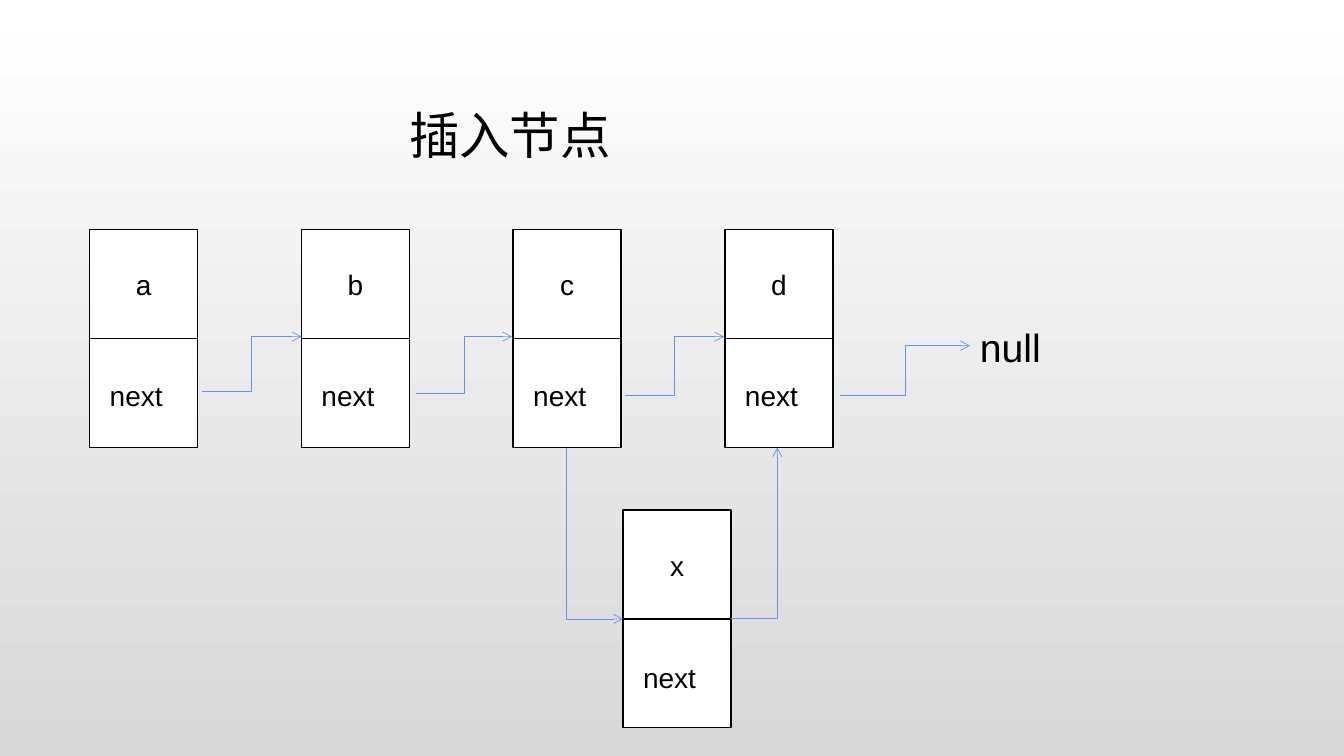
"""Draws a linked list slide that shows how a node is inserted."""
from lxml import etree
from pptx import Presentation
from pptx.dml.color import RGBColor
from pptx.enum.shapes import MSO_CONNECTOR
from pptx.enum.text import MSO_AUTO_SIZE, PP_ALIGN
from pptx.oxml.ns import qn
from pptx.util import Inches, Pt

ELBOW = MSO_CONNECTOR.ELBOW
GROW = MSO_AUTO_SIZE.SHAPE_TO_FIT_TEXT
LEFT, CENTER = PP_ALIGN.LEFT, PP_ALIGN.CENTER
HUES = {"ink": "000000", "paper": "FFFFFF", "arrow": "6096E6", "shade": "D8D8D8"}
WIDE, CELL = 1.07, 1.08
FIRST, STEP, TOP = 0.89, 2.1, 2.28


def hue(name):
    return RGBColor.from_string(HUES[name])


def shade(slide):
    fill = slide.background.fill
    fill.gradient()
    fill.gradient_angle = 270
    for stop, name in zip(fill.gradient_stops, ("paper", "shade")):
        stop.color.rgb = hue(name)


def label(slide, text, x, y, w, h, size=20, align=LEFT):
    box = slide.shapes.add_textbox(Inches(x), Inches(y), Inches(w), Inches(h))
    frame = box.text_frame
    frame.word_wrap = True
    frame.auto_size = GROW
    frame.text = text
    para = frame.paragraphs[0]
    para.alignment = align
    font = para.runs[0].font
    font.name, font.size = "Arial", Pt(size)
    font.color.rgb = hue("ink")


def node(slide, name, x, y, drop=0.32):
    path = slide.shapes.build_freeform(Inches(x), Inches(y), scale=1.0)
    for row in range(2):
        top, low = y + row * CELL, y + (row + 1) * CELL
        if row:
            path.move_to(Inches(x), Inches(top))
        corners = [(x + WIDE, top), (x + WIDE, low), (x, low)]
        path.add_line_segments([(Inches(a), Inches(b)) for a, b in corners], close=True)
    shape = path.convert_to_shape()
    shape.shadow.inherit = False
    shape.fill.solid()
    shape.fill.fore_color.rgb = hue("paper")
    shape.line.color.rgb = hue("ink")
    shape.line.width = Pt(1)
    label(slide, name, x + 0.2, y + drop, 0.67, 0.44, align=CENTER)
    label(slide, "next", x + 0.1, y + drop + 1.11, 0.87, 0.44)


def arrow(slide, x1, y1, x2, y2, kind="bentConnector3", turn=0):
    ends = [Inches(v) for v in (x1, y1, x2, y2)]
    link = slide.shapes.add_connector(ELBOW, *ends)
    link.line.color.rgb = hue("arrow")
    link.line.width = Pt(0.5)
    props = link._element.spPr
    props.find(qn("a:prstGeom")).set("prst", kind)
    if turn:
        props.find(qn("a:xfrm")).set("rot", str(turn * 60000))
    etree.SubElement(props.find(qn("a:ln")), qn("a:tailEnd"), type="arrow")
    etree.SubElement(props, qn("a:effectLst"))


def main():
    deck = Presentation()
    deck.slide_width, deck.slide_height = Inches(13.33), Inches(7.5)
    slide = deck.slides.add_slide(deck.slide_layouts[6])
    shade(slide)
    label(slide, "插入节点", 3.96, 0.98, 2.23, 0.71, 36)
    for i, name in enumerate("abcd"):
        node(slide, name, FIRST + i * STEP, TOP)
    node(slide, "x", 6.18, 5.06, 0.33)
    label(slide, "null", 9.62, 3.16, 1.44, 0.57, 28)
    links = [(2, 3.88, 2.99, 3.34), (4.13, 3.9, 5.08, 3.34),
             (6.2, 3.92, 7.18, 3.34), (8.33, 3.92, 9.62, 3.43)]
    for ends in links:
        arrow(slide, *ends)
    arrow(slide, 5.05, 5.57, 6.75, 5.01, "bentConnector2", 90)
    arrow(slide, 7.25, 6.13, 7.71, 4.44, "bentConnector2")
    deck.save("out.pptx")


if __name__ == "__main__":
    main()
